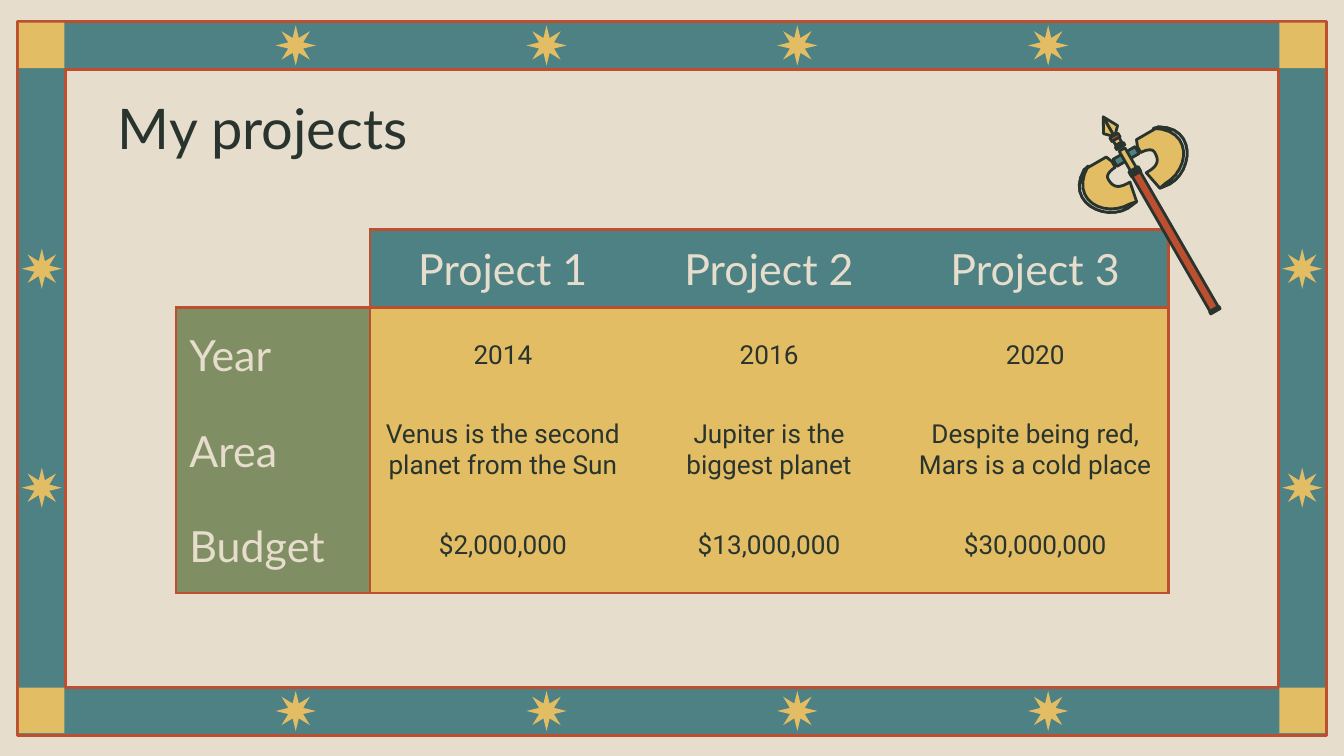
from math import cos, radians, sin

from lxml.etree import SubElement
from pptx import Presentation
from pptx.dml.color import RGBColor
from pptx.enum.shapes import MSO_SHAPE
from pptx.enum.text import MSO_ANCHOR, PP_ALIGN
from pptx.oxml.ns import qn
from pptx.util import Cm, Pt

COLORS = {
    "cream": "E6DDCC",
    "teal": "4E8183",
    "rust": "BB4F30",
    "gold": "E3BD63",
    "olive": "808F63",
    "ink": "29342E",
}
INSET = Cm(0.25)
LINE_WIDTH = Pt(1.5)
AXE_UNIT = Cm(2.54) / 100
AXE_TIP = Cm(20.85), Cm(2.21)
AXE_TILT = radians(30)
CURVE_STEPS = 12

TABLE_ROWS = [
    ["", "Project 1", "Project 2", "Project 3"],
    ["Year", "2014", "2016", "2020"],
    ["Area", "Venus is the second planet from the Sun",
     "Jupiter is the biggest planet", "Despite being red, Mars is a cold place"],
    ["Budget", "$2,000,000", "$13,000,000", "$30,000,000"],
]

# Axe points are (side, distance from tip); curves are (x1, y1, x2, y2, x, y).
BLADE_RIM = [(10, 67), (18, 68), (38, 68, 56, 41, 32, 27)]
BLADE = [(13, 27), (11, 32), (11, 37), (14, 37, 20, 38, 20, 42), (20, 50, 16, 52, 7, 52)] + BLADE_RIM
BLADE_EDGE = [(28, 26), (53, 41, 37, 66, 15, 66)] + BLADE_RIM
SPEAR_HALF = [(0, 0), (6, 11), (0, 17)]
# Bars are (fill, distance from tip, width, height).
HANDLE_BARS = [
    ("gold", 28, 5, 32), ("olive", 24, 7, 2), ("gold", 16, 5, 7), ("rust", 46, 7, 120),
    ("olive", 47, 8, 2), ("olive", 45, 8, 2), ("gold", 165, 8, 2), ("rust", 16, 7, 3),
]


def color(name):
    return RGBColor.from_string(COLORS[name])


def paint(shape, fill, line=None):
    shape.shadow.inherit = False
    shape.fill.solid()
    shape.fill.fore_color.rgb = color(fill)
    if line:
        shape.line.color.rgb = color(line)
        shape.line.width = LINE_WIDTH
    else:
        shape.line.fill.background()


def add_preset(slide, kind, left, top, width, height, fill, line=None, adjustment=None, rotation=0):
    shape = slide.shapes.add_shape(kind, Cm(left), Cm(top), Cm(width), Cm(height))
    if adjustment is not None:
        shape.adjustments[0] = adjustment
    shape.rotation = rotation
    paint(shape, fill, line)


def write_text(text_frame, text, *, font, size, ink, align=PP_ALIGN.LEFT):
    text_frame.word_wrap = True
    paragraph = text_frame.paragraphs[0]
    paragraph.alignment = align
    run = paragraph.add_run()
    run.text = text
    run.font.name = font
    run.font.size = Pt(size)
    run.font.color.rgb = color(ink)


def add_border(slide):
    add_preset(slide, MSO_SHAPE.FRAME, 0.33, 0.41, 24.74, 13.49, "teal", "rust", 0.067)
    for left in (0.36, 24.18):
        for top in (0.43, 13):
            add_preset(slide, MSO_SHAPE.RECTANGLE, left, top, 0.86, 0.86, "gold")
    stars = [(5.21 + 4.74 * i, top, 0) for top in (0.48, 13.06) for i in range(4)]
    stars += [(left, top, 90) for left in (0.41, 24.23) for top in (4.7, 8.84)]
    for left, top, rotation in stars:
        add_preset(slide, MSO_SHAPE.STAR_8_POINT, left, top, 0.76, 0.76, "gold",
                   adjustment=0.2, rotation=rotation)


def add_title(slide, text):
    box = slide.shapes.add_textbox(Cm(1.98), Cm(1.52), Cm(21.44), Cm(1.3))
    frame = box.text_frame
    frame.margin_left = frame.margin_right = frame.margin_top = frame.margin_bottom = INSET
    write_text(frame, text, font="Lato", size=30, ink="ink")


def set_cell_borders(cell, edges):
    properties = cell._tc.get_or_add_tcPr()
    for edge in "LRTB":
        line = SubElement(properties, qn(f"a:ln{edge}"), w=str(LINE_WIDTH))
        if edge in edges:
            fill = SubElement(line, qn("a:solidFill"))
            SubElement(fill, qn("a:srgbClr"), val=COLORS["rust"])
        else:
            SubElement(line, qn("a:noFill"))


def cell_edges(row, column):
    if row == column == 0:
        return "RB"
    rules = {"L": column in (0, 1), "R": column in (0, 3), "T": row in (0, 1), "B": row in (0, 3)}
    return [edge for edge, drawn in rules.items() if drawn]


def format_cell(cell, text, row, column):
    cell.margin_left = cell.margin_right = cell.margin_top = cell.margin_bottom = INSET
    cell.vertical_anchor = MSO_ANCHOR.MIDDLE
    set_cell_borders(cell, cell_edges(row, column))
    if not text:
        cell.fill.background()
        return
    cell.fill.solid()
    cell.fill.fore_color.rgb = color("teal" if row == 0 else "olive" if column == 0 else "gold")
    align = PP_ALIGN.CENTER if column else PP_ALIGN.LEFT
    if row and column:
        write_text(cell.text_frame, text, font="Roboto", size=14, ink="ink", align=align)
    else:
        write_text(cell.text_frame, text, font="Lato", size=23, ink="cream", align=align)


def add_project_table(slide):
    widths = [3.66] + [5.03] * 3
    heights = [1.27] + [1.8] * 3
    table = slide.shapes.add_table(4, 4, Cm(3.33), Cm(4.34), Cm(sum(widths)), Cm(sum(heights))).table
    table.first_row = table.horz_banding = False
    for column, width in zip(table.columns, widths):
        column.width = Cm(width)
    for row, height in zip(table.rows, heights):
        row.height = Cm(height)
    for row, texts in enumerate(TABLE_ROWS):
        for column, text in enumerate(texts):
            format_cell(table.cell(row, column), text, row, column)


def curve_points(start, curve):
    controls = [start, curve[:2], curve[2:4], curve[4:]]
    for step in range(1, CURVE_STEPS + 1):
        t = step / CURVE_STEPS
        weights = [(1 - t) ** 3, 3 * t * (1 - t) ** 2, 3 * t * t * (1 - t), t ** 3]
        yield tuple(sum(w * point[axis] for w, point in zip(weights, controls)) for axis in (0, 1))


def tilt(side, distance):
    x = side * cos(AXE_TILT) + distance * sin(AXE_TILT)
    y = distance * cos(AXE_TILT) - side * sin(AXE_TILT)
    return AXE_TIP[0] + x * AXE_UNIT, AXE_TIP[1] + y * AXE_UNIT


def add_outline(slide, fill, segments, mirror=1):
    points = [segments[0]]
    for segment in segments[1:]:
        points.extend([segment] if len(segment) == 2 else curve_points(points[-1], segment))
    points = [tilt(mirror * side, distance) for side, distance in points]
    builder = slide.shapes.build_freeform(*points[0])
    builder.add_line_segments(points[1:], close=True)
    paint(builder.convert_to_shape(), fill, "ink")


def add_bar(slide, fill, top, width, height):
    half, bottom = width / 2, top + height
    add_outline(slide, fill, [(-half, top), (half, top), (half, bottom), (-half, bottom)])


def add_axe(slide):
    add_bar(slide, "teal", 31, 19, 6)
    for mirror in (-1, 1):
        add_outline(slide, "gold", BLADE, mirror)
        add_outline(slide, "cream", BLADE_EDGE, mirror)
        add_outline(slide, "gold", SPEAR_HALF, mirror)
    for bar in HANDLE_BARS:
        add_bar(slide, *bar)


def main():
    presentation = Presentation()
    presentation.slide_width = Cm(25.4)
    presentation.slide_height = Cm(14.29)
    slide = presentation.slides.add_slide(presentation.slide_layouts[6])
    slide.background.fill.solid()
    slide.background.fill.fore_color.rgb = color("cream")
    add_border(slide)
    add_title(slide, "My projects")
    add_project_table(slide)
    add_axe(slide)
    presentation.save("out.pptx")


if __name__ == "__main__":
    main()
